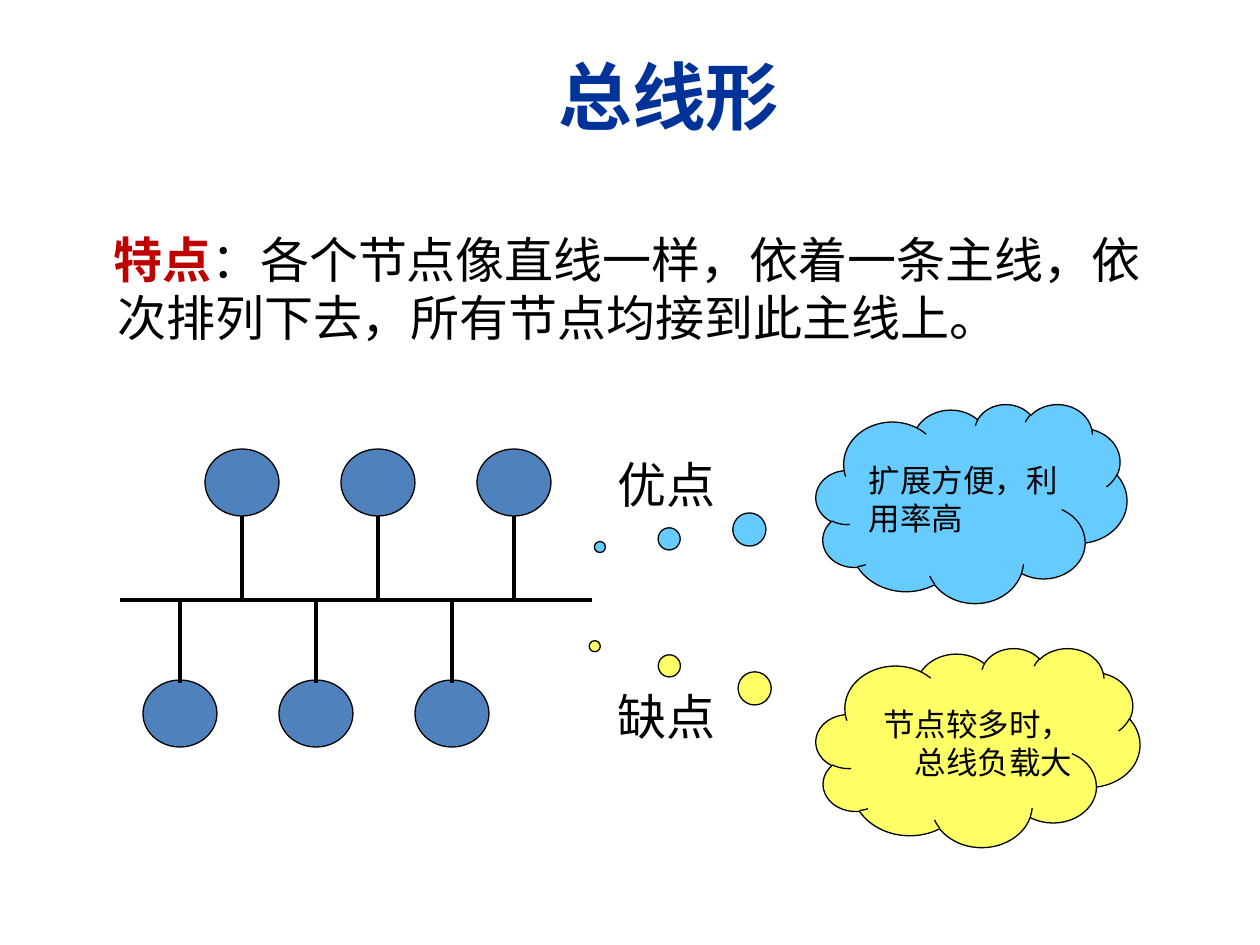
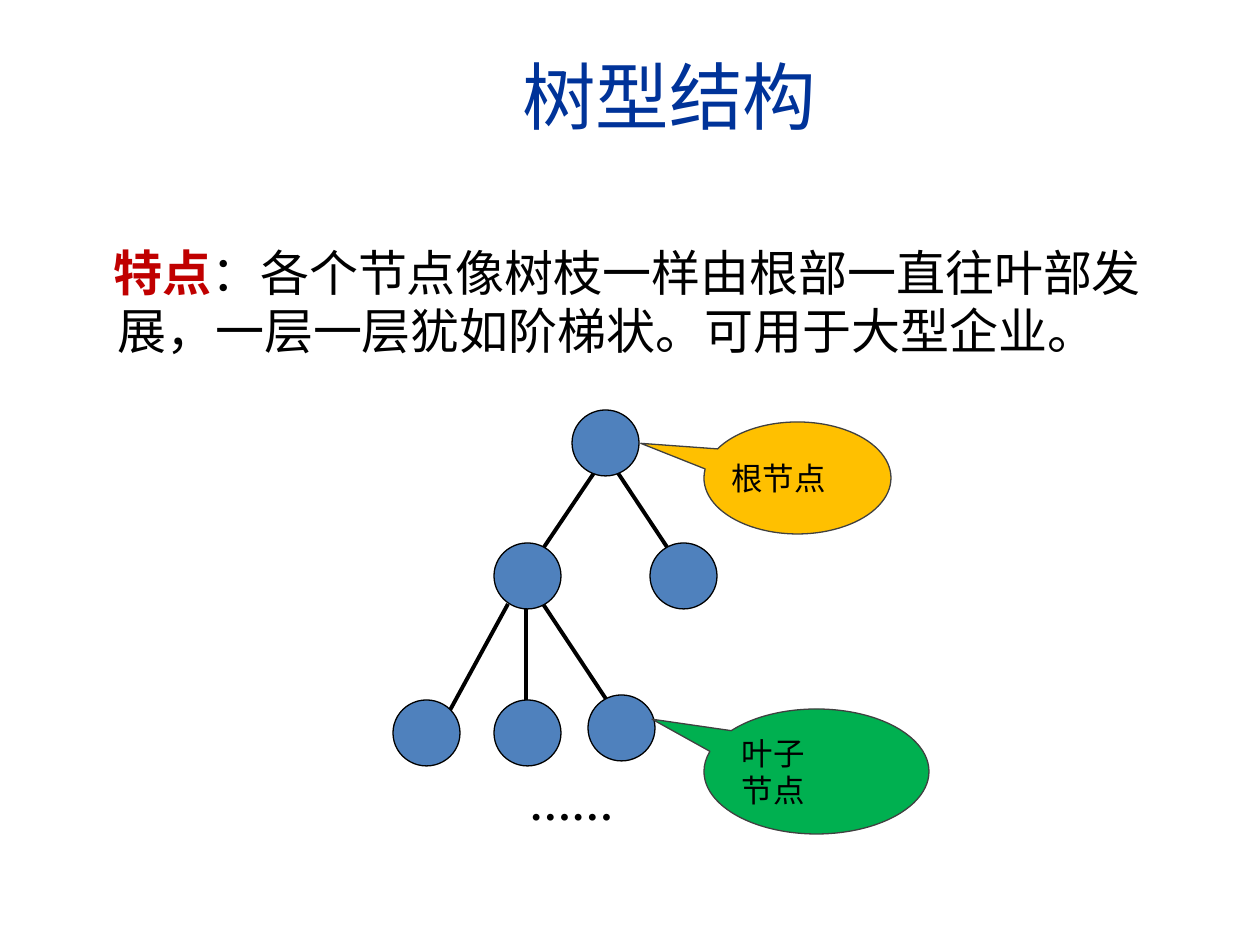
from dataclasses import dataclass

from lxml.etree import SubElement
from pptx import Presentation
from pptx.dml.color import RGBColor
from pptx.enum.shapes import MSO_CONNECTOR, MSO_SHAPE
from pptx.enum.text import MSO_ANCHOR, MSO_AUTO_SIZE, PP_ALIGN
from pptx.oxml.ns import qn
from pptx.util import Pt

EMU_PER_PX = 914400 / 126


@dataclass(frozen=True)
class Theme:
    ink: str = "000000"
    paper: str = "FFFFFF"
    title: str = "003399"
    accent: str = "C00000"
    node: str = "4F81BD"
    pros: str = "66CCFF"
    cons: str = "FFFF66"
    root: str = "FFC000"
    leaf: str = "00B050"
    callout_line: str = "404040"
    latin: str = "Calibri"
    cjk: str = "Noto Sans CJK SC"
    serif: str = "Times New Roman"
    title_size: int = 42
    body_size: int = 28
    dots_size: int = 24
    note_size: int = 18
    thin: float = 0.75
    thick: float = 2.25


def px(n):
    return round(n * EMU_PER_PX)


def rgb(code):
    return RGBColor.from_string(code)


class Deck:
    def __init__(self, theme):
        self.theme = theme
        self.prs = Presentation()
        self.prs.slide_width, self.prs.slide_height = px(1260), px(945)
        self.slide = None

    def style(self, p, size, name, color=None, bold=None):
        font = p.font
        font.size, font.name, font.bold = Pt(size), name, bold
        if color:
            font.color.rgb = rgb(color)

    def frame(self, sp, insets=None, anchor=MSO_ANCHOR.MIDDLE):
        """Prepare a text frame; insets are left, top, right, bottom in px."""
        tf = sp.text_frame
        tf.word_wrap = True
        tf.auto_size = MSO_AUTO_SIZE.NONE
        tf.vertical_anchor = anchor
        if insets:
            (tf.margin_left, tf.margin_top,
             tf.margin_right, tf.margin_bottom) = map(px, insets)
        return tf

    def add_slide(self, title, bold=False):
        t = self.theme
        self.slide = self.prs.slides.add_slide(self.prs.slide_layouts[5])
        sp = self.slide.shapes.title
        sp.left, sp.top, sp.width, sp.height = map(px, (117, 32, 1104, 126))
        tf = self.frame(sp)
        tf.text = title
        p = tf.paragraphs[0]
        p.alignment = PP_ALIGN.CENTER
        self.style(p, t.title_size, t.latin, t.title, bold)

    def textbox(self, x, y, w, h):
        return self.slide.shapes.add_textbox(*map(px, (x, y, w, h)))

    def feature(self, y, h, text):
        """Add the body paragraph that opens with the red keyword."""
        t = self.theme
        tf = self.frame(self.textbox(57, y, 1110, h), anchor=MSO_ANCHOR.TOP)
        p = tf.paragraphs[0]
        pPr = p._p.get_or_add_pPr()
        pPr.set("marL", str(px(48)))
        pPr.set("indent", str(px(-4)))
        self.style(p, t.body_size, t.latin)
        for words, color, bold in (("特点", t.accent, True),
                                   ("：" + text, t.ink, False)):
            r = p.add_run()
            r.text = words
            r.font.color.rgb = rgb(color)
            r.font.bold = bold

    def shape(self, kind, x, y, w, h, fill=None, line=None):
        sp = self.slide.shapes.add_shape(kind, *map(px, (x, y, w, h)))
        sp.shadow.inherit = False
        if fill:
            sp.fill.solid()
            sp.fill.fore_color.rgb = rgb(fill)
        else:
            sp.fill.background()
        sp.line.color.rgb = rgb(line or self.theme.ink)
        sp.line.width = Pt(self.theme.thin)
        return sp

    def node(self, x, y, w, h):
        self.shape(MSO_SHAPE.OVAL, x, y, w, h, self.theme.node)

    def label(self, x, y, w, h, text):
        t = self.theme
        sp = self.shape(MSO_SHAPE.RECTANGLE, x, y, w, h, line=t.paper)
        tf = self.frame(sp)
        tf.word_wrap = False
        tf.text = text
        p = tf.paragraphs[0]
        p.alignment = PP_ALIGN.LEFT
        self.style(p, t.body_size, t.cjk, t.ink)

    def callout(self, kind, box, tip, fill, text, insets, line=None,
                align=PP_ALIGN.LEFT):
        """Add a callout; tip is the pointer's offset as parts of the size."""
        t = self.theme
        sp = self.shape(kind, *box, fill, line)
        sp.adjustments[0], sp.adjustments[1] = tip
        tf = self.frame(sp, insets)
        tf.text = text
        for p in tf.paragraphs:
            p.alignment = align
            self.style(p, t.note_size, t.cjk, t.ink)

    def line(self, x1, y1, x2, y2):
        cx = self.slide.shapes.add_connector(
            MSO_CONNECTOR.STRAIGHT, *map(px, (x1, y1, x2, y2)))
        cx.line.color.rgb = rgb(self.theme.ink)
        cx.line.width = Pt(self.theme.thick)
        SubElement(cx._element.spPr, qn("a:effectLst"))

    def dots(self, x, y, w, h):
        t = self.theme
        tf = self.frame(self.textbox(x, y, w, h), anchor=MSO_ANCHOR.TOP)
        tf.text = "……"
        self.style(tf.paragraphs[0], t.dots_size, t.serif, t.ink, True)


def bus_slide(deck):
    t = deck.theme
    deck.add_slide("总线形", bold=True)
    deck.feature(223, 199, "各个节点像直线一样，依着一条主线，"
                           "依次排列下去，所有节点均接到此主线上。")

    deck.label(605, 447, 125, 74, "优点")
    deck.callout(MSO_SHAPE.CLOUD_CALLOUT, (816, 404, 311, 199),
                 (-1.195, 0.219), t.pros, "扩展方便，利用率高", (10, 0, 0, 0))
    deck.callout(MSO_SHAPE.CLOUD_CALLOUT, (816, 648, 324, 199),
                 (-1.183, -0.509), t.cons, "节点较多时，总线负载大",
                 (0, 0, 0, 0), align=PP_ALIGN.RIGHT)
    deck.label(605, 688, 125, 55, "缺点")

    node_w, node_h, pitch, bus_y = 74, 67, 136, 600
    for first_x, node_y, stem_y in ((205, 449, 516), (143, 680, 683)):
        for i in range(3):
            x = first_x + i * pitch
            deck.node(x, node_y, node_w, node_h)
            center = x + node_w // 2
            deck.line(center, min(stem_y, bus_y), center, max(stem_y, bus_y))
    deck.line(120, bus_y, 592, bus_y)


def tree_slide(deck):
    t = deck.theme
    deck.add_slide("树型结构")
    deck.feature(236, 137, "各个节点像树枝一样由根部一直往叶部发展，"
                           "一层一层犹如阶梯状。可用于大型企业。")

    branches = ((596, 470, 538, 556), (526, 604, 526, 703),
                (449, 712, 508, 604), (543, 604, 606, 699),
                (673, 556, 616, 470))
    for branch in branches:
        deck.line(*branch)
    deck.dots(517, 772, 151, 62)
    for x, y in ((494, 543), (572, 410), (650, 543),
                 (393, 700), (494, 700), (588, 695)):
        deck.node(x, y, 67, 66)

    deck.callout(MSO_SHAPE.OVAL_CALLOUT, (704, 422, 187, 112),
                 (-0.838, -0.309), t.root, "根节点", (0, 6, 0, 6),
                 t.callout_line)
    deck.callout(MSO_SHAPE.OVAL_CALLOUT, (704, 709, 225, 125),
                 (-0.731, -0.418), t.leaf, "叶子\n节点", (5, 6, 5, 6),
                 t.callout_line)


def main():
    deck = Deck(Theme())
    bus_slide(deck)
    tree_slide(deck)
    deck.prs.save("out.pptx")


if __name__ == "__main__":
    main()
